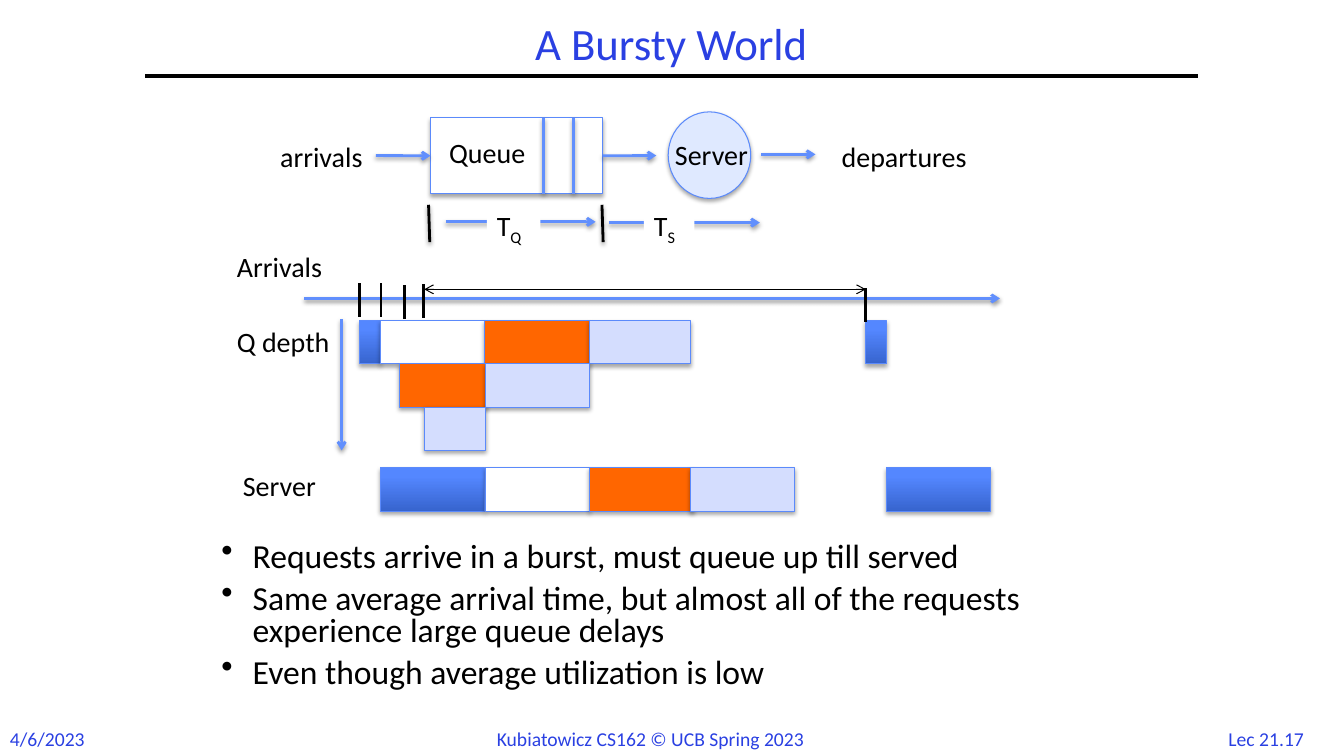
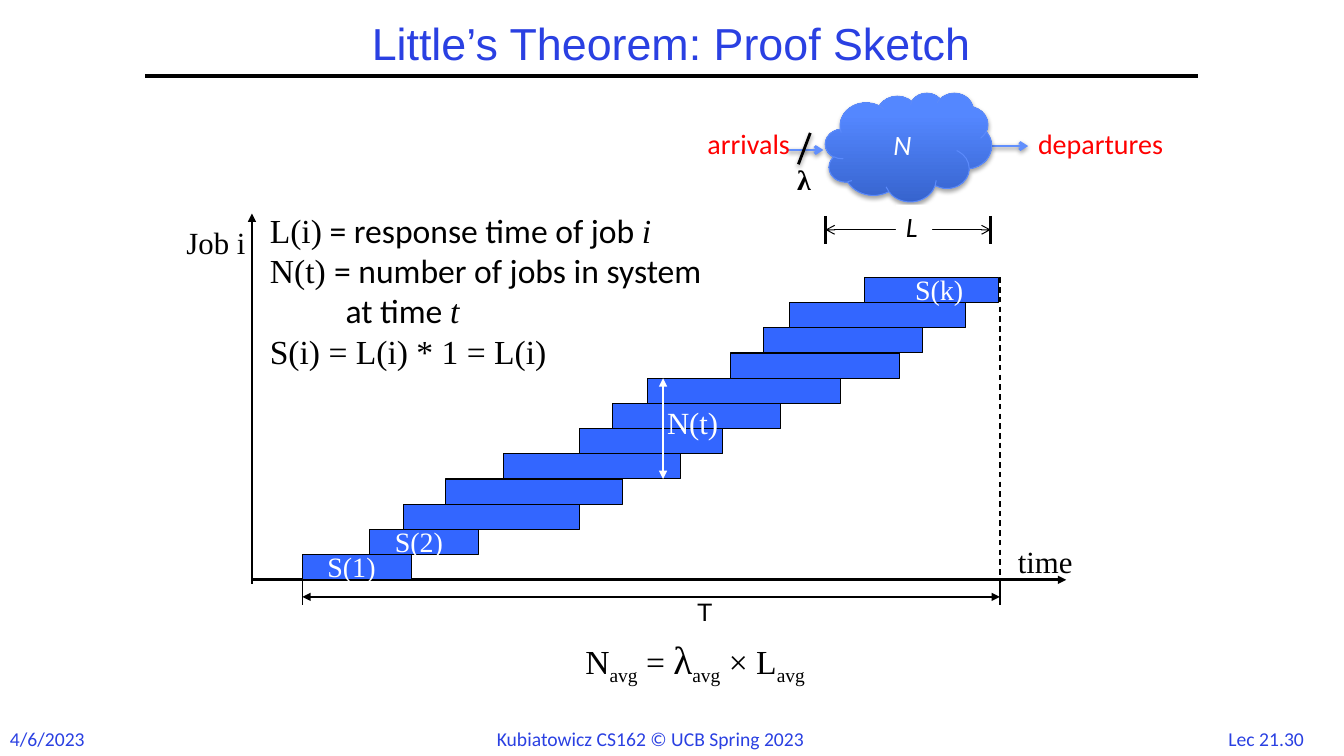
from lxml.etree import SubElement
from pptx import Presentation
from pptx.dml.color import RGBColor as RGB
from pptx.enum.dml import MSO_LINE
from pptx.enum.shapes import MSO_CONNECTOR, MSO_SHAPE as SHAPE
from pptx.enum.text import MSO_ANCHOR, MSO_AUTO_SIZE as SIZING, PP_ALIGN
from pptx.oxml.ns import qn
from pptx.util import Cm, Pt

# Colours and fonts
BLACK, WHITE, RED = RGB(0, 0, 0), RGB(255, 255, 255), RGB(255, 0, 0)
TITLE = RGB(0x2A, 0x40, 0xE2)
ARROW = RGB(0x61, 0x8F, 0xFD)
EDGE = RGB(0x5B, 0x8A, 0xFB)
DARK, LIGHT = RGB(0x37, 0x64, 0xCE), RGB(0x54, 0x87, 0xFF)
DISC = RGB(0xDF, 0xE9, 0xFF)
ORANGE = RGB(0xFF, 0x66, 0x00)
PALE = RGB(0xD4, 0xDD, 0xFE)
JOB = RGB(0x33, 0x66, 0xFF)
SHADE = (DARK, LIGHT)
CAL, ARIAL, TIMES = "Calibri", "Arial", "Times New Roman"
SUB = {"sub": True}
SLANT = {"italic": True}

# Shared footer: x, width, text
FOOT = "Kubiatowicz CS162 © UCB Spring 2023"
DATE = "4/6/2023"

# Burst slide content, in cm
LABELS = [  # x, y, width, text
    (11.07, 3.3, 2.64, "Queue"),
    (16.76, 3.33, 2.62, "Server"),
    (6.81, 3.38, 2.82, "arrivals"),
    (20.96, 3.4, 3.91, "departures"),
    (5.72, 6.15, 2.9, "Arrivals"),
    (5.72, 8.05, 3.05, "Q depth"),
    (5.87, 11.68, 2.62, "Server"),
]
TIMES_IN = [(12.27, 1.35, "Q"), (16.23, 1.27, "S")]  # x, width, index
TICKS = [(9.07, 7.14), (9.6, 7.14), (10.19, 7.19), (10.67, 7.16), (21.82, 7.26)]
TICK = 0.86
BLOCK = 1.09
ROWS = [  # top, blocks of x, width, fill
    (8.08, [(9.07, 0.53, SHADE), (9.58, 2.64, WHITE), (12.22, 2.64, ORANGE),
            (14.86, 2.54, PALE), (21.82, 0.53, SHADE)]),
    (8.08 + BLOCK, [(10.06, 2.21, ORANGE), (12.24, 2.62, PALE)]),
    (8.08 + 2 * BLOCK, [(10.69, 1.55, PALE)]),
    (11.79, [(9.6, 2.62, SHADE), (12.24, 2.62, WHITE), (14.86, 2.62, ORANGE),
             (17.4, 2.62, PALE), (22.35, 2.62, SHADE)]),
]
POINTS = [
    "Requests arrive in a burst, must queue up till served",
    "Same average arrival time, but almost all of the requests "
    "experience large queue delays",
    "Even though average utilization is low",
]

# Proof slide content, in cm
JOBS = [  # start, length, first job first
    (7.62, 2.74), (9.32, 2.74), (10.16, 4.45), (11.23, 4.45),
    (12.7, 4.45), (14.61, 3.61), (15.44, 4.24), (16.31, 4.88),
    (18.42, 4.24), (19.25, 4.01), (19.89, 4.45), (21.79, 3.38),
]
START, END = 7.62, 25.2
TOP, BASE = 6.99, 14.61
MARKS = [(8, 13.72, "S(1)"), (9.7, 13.08, "S(2)"), (22.81, 6.73, "S(k)")]
TERMS = [
    [("L(i)", {}), (" = response time of job ", {"font": CAL}), ("i", SLANT)],
    [("N(t) ", {}), ("= number of jobs in system", {"font": CAL})],
    [("at time ", {"font": CAL}), ("t", SLANT)],
    "S(i) = L(i) * 1 = L(i)",
]
LAW = [("N", {}), ("avg", SUB), (" = ", {}), ("λ", {"size": 28}),
       ("avg", SUB), (" × L", {}), ("avg", SUB)]


def style(font, size=None, name=None, color=None, bold=None, italic=None):
    if size:
        font.size = Pt(size)
    if name:
        font.name = name
    if color is not None:
        font.color.rgb = color
    if bold:
        font.bold = True
    if italic:
        font.italic = True


def text(slide, at, paras, size=20, font=CAL, color=BLACK, wrap=False,
         bold=False, italic=False, fill=None):
    """Add a text box; a paragraph is a string or a list of (words, look)."""
    box = slide.shapes.add_textbox(*map(Cm, at))
    if fill is not None:
        box.fill.solid()
        box.fill.fore_color.rgb = fill
    frame = box.text_frame
    frame.word_wrap = wrap
    frame.auto_size = SIZING.NONE if wrap else SIZING.SHAPE_TO_FIT_TEXT
    for i, runs in enumerate(paras):
        para = frame.add_paragraph() if i else frame.paragraphs[0]
        style(para.font, size, font, color, bold, italic)
        if isinstance(runs, str):
            runs = [(runs, {})]
        for words, look in runs:
            run = para.add_run()
            run.text = words
            style(run.font, look.get("size"), look.get("font"),
                  italic=look.get("italic"))
            if look.get("sub"):
                run._r.get_or_add_rPr().set("baseline", "-25000")
    return frame


def cast(effect, alpha, dist):
    """Put a soft downward shadow in an effect list."""
    drop = SubElement(effect, qn("a:outerShdw"), blurRad="40000",
                      dist=str(dist), dir="5400000", rotWithShape="0")
    tint = SubElement(drop, qn("a:srgbClr"), val="000000")
    SubElement(tint, qn("a:alpha"), val=str(alpha * 1000))


def line(slide, x1, y1, x2, y2, color=BLACK, width=2, head=None, tail=None,
         soft=False, dash=False):
    link = slide.shapes.add_connector(
        MSO_CONNECTOR.STRAIGHT, *map(Cm, (x1, y1, x2, y2)))
    link.line.color.rgb = color
    link.line.width = Pt(width)
    if dash:
        link.line.dash_style = MSO_LINE.DASH
    for tag, kind in (("a:headEnd", head), ("a:tailEnd", tail)):
        if kind:
            SubElement(link.line._get_or_add_ln(), qn(tag), type=kind)
    effect = SubElement(link._element.spPr, qn("a:effectLst"))
    if soft:
        cast(effect, 38, 20000)
    return link


def flow(slide, *ends):
    return line(slide, *ends, ARROW, tail="arrow", soft=True)


def shape(slide, kind, at, fill, edge=EDGE, soft=True):
    item = slide.shapes.add_shape(kind, *map(Cm, at))
    if fill is SHADE:
        item.fill.gradient()
        item.fill.gradient_angle = 90
        for stop, tone, place in zip(item.fill.gradient_stops, SHADE, (0, 0.8)):
            stop.color.rgb = tone
            stop.position = place
    else:
        item.fill.solid()
        item.fill.fore_color.rgb = fill
    item.line.color.rgb = edge
    item.line.width = Pt(0.75)
    item.shadow.inherit = False
    if soft:
        cast(item._element.spPr.find(qn("a:effectLst")), 35, 23000)
    return item


def base(deck, title, number, font=CAL):
    """Add a slide with the footers, rule and title."""
    slide = deck.slides.add_slide(deck.slide_layouts[6])
    for x, wide, words in ((0, 2.44, DATE), (12.27, 9.35, FOOT),
                           (30.71, 2.74, f"Lec {number}")):
        text(slide, (x, 18.19, wide, 0.86), [words], 14, color=TITLE)
    line(slide, 3.66, 1.91, 30.2, 1.91, width=3)
    frame = text(slide, (3.66, 0.43, 26.52, 1.47), [title], 32, font, TITLE,
                 wrap=True)
    frame.vertical_anchor = MSO_ANCHOR.MIDDLE
    frame.paragraphs[0].alignment = PP_ALIGN.CENTER
    frame.paragraphs[0].line_spacing = 0.9
    return slide


def burst(deck):
    slide = base(deck, "A Bursty World", "21.17")

    # Queue and server
    flow(slide, 15.34, 5.61, 19.15, 5.61)
    flow(slide, 11.23, 5.59, 15.01, 5.59)
    queue = shape(slide, SHAPE.RECTANGLE, (10.85, 2.97, 4.34, 1.91), WHITE)
    for x in (13.69, 14.45):
        line(slide, x, 2.97, x, 4.88, ARROW, soft=True)
    shape(slide, SHAPE.OVAL, (16.84, 2.82, 2.08, 2.18), DISC)
    flow(slide, 9.47, 3.92, 10.85, 3.92).end_connect(queue, 1)
    flow(slide, 15.19, 3.92, 16.54, 3.92).begin_connect(queue, 3)
    flow(slide, 19.18, 3.89, 20.55, 3.89)
    for x, wide, index in TIMES_IN:
        text(slide, (x, 5.13, wide, 1.12), [[("T", {}), (index, SUB)]],
             fill=WHITE)
    for x in (10.8, 15.17):
        line(slide, x, 5.16, x + 0.03, 6.1, soft=True)

    # Timeline and queue blocks
    flow(slide, 7.67, 7.52, 25.2, 7.52)
    for top, blocks in ROWS:
        for x, wide, fill in blocks:
            shape(slide, SHAPE.RECTANGLE, (x, top, wide, BLOCK), fill)
    for x, top in TICKS:
        line(slide, x, top, x, top + TICK)
    line(slide, 10.69, 7.29, 21.82, 7.29, width=0.75, head="arrow", tail="arrow")
    flow(slide, 8.61, 8.05, 8.61, 11.35)
    for x, y, wide, words in LABELS:
        text(slide, (x, y, wide, 1.12), [words])

    # Bullets
    frame = text(slide, (5.33, 13.54, 22.86, 4.45), POINTS, 24, wrap=True)
    for para in frame.paragraphs:
        para.line_spacing = 0.8
        para.space_before = Pt(7)
        props = para._p.get_or_add_pPr()
        props.set("marL", str(Cm(0.79)))
        props.set("indent", str(-Cm(0.79)))
        mark = props.makeelement(qn("a:buChar"), {"char": "•"})
        props.find(qn("a:defRPr")).addprevious(mark)


def proof(deck):
    slide = base(deck, "Little’s Theorem: Proof Sketch", "21.30", ARIAL)

    # Axes and total time
    line(slide, 6.35, 14.71, 6.35, 5.38, tail="triangle")
    line(slide, 6.35, BASE, 26.87, BASE, tail="triangle")
    for x in (START, END):
        line(slide, x, BASE, x, 15.24, width=1)
    line(slide, END, TOP, END, BASE, width=1, dash=True)
    line(slide, START, 15.04, END, 15.04, width=1, head="triangle",
         tail="triangle")
    text(slide, (25.4, 13.54, 1.91, 1.19), ["time"], 22, TIMES)
    text(slide, (4.45, 5.51, 2.01, 1.19), ["Job i"], 22, TIMES)
    text(slide, (17.32, 14.91, 0.89, 1.02), ["T"], 18, ARIAL)

    # System cloud
    flow(slide, 19.86, 3.78, 20.75, 3.78)
    flow(slide, 24.99, 3.68, 25.91, 3.68)
    text(slide, (17.58, 3.07, 2.82, 1.12), ["arrivals"], color=RED)
    text(slide, (25.91, 3.07, 3.91, 1.12), ["departures"], color=RED)
    cloud = shape(slide, SHAPE.CLOUD, (20.8, 2.34, 4.19, 2.74), SHADE)
    para = cloud.text_frame.paragraphs[0]
    para.text = "N"
    para.alignment = PP_ALIGN.CENTER
    style(para.font, 20, CAL, WHITE, italic=True)
    line(slide, 20.42, 3.35, 20.12, 4.14, soft=True)
    text(slide, (19.84, 3.96, 0.86, 1.12), ["λ"], font=TIMES, bold=True)
    line(slide, 20.8, 5.79, 24.97, 5.79, width=0.75, head="arrow", tail="arrow")
    for x in (20.8, 24.97):
        line(slide, x, 5.44, x, 6.15)
    text(slide, (22.58, 5.16, 0.91, 1.12), ["L"], italic=True, fill=WHITE)

    # Job staircase
    step = (BASE - TOP) / len(JOBS)
    for i, (x, wide) in enumerate(JOBS, 1):
        shape(slide, SHAPE.RECTANGLE, (x, BASE - i * step, wide, step), JOB,
              BLACK, soft=False)
    line(slide, 16.71, BASE - 8 * step, 16.71, BASE - 4 * step, WHITE, 1.5,
         head="triangle", tail="triangle")
    text(slide, (16.56, 10.06, 1.8, 1.19), ["N(t)"], 22, TIMES, WHITE)
    for x, y, words in MARKS:
        text(slide, (x, y, 1.73, 1.09), [words], 20, TIMES, WHITE)

    # Definitions and law
    frame = text(slide, (6.55, 5.16, 12.5, 4.37), TERMS, 24, TIMES, wrap=True)
    frame.paragraphs[2]._p.get_or_add_pPr().set("marL", str(Cm(1.91)))
    text(slide, (14.5, 15.88, 6.81, 1.45), [LAW], 24, TIMES)


def main():
    deck = Presentation()
    deck.slide_width, deck.slide_height = Cm(33.87), Cm(19.05)
    burst(deck)
    proof(deck)
    deck.save("out.pptx")


if __name__ == "__main__":
    main()
